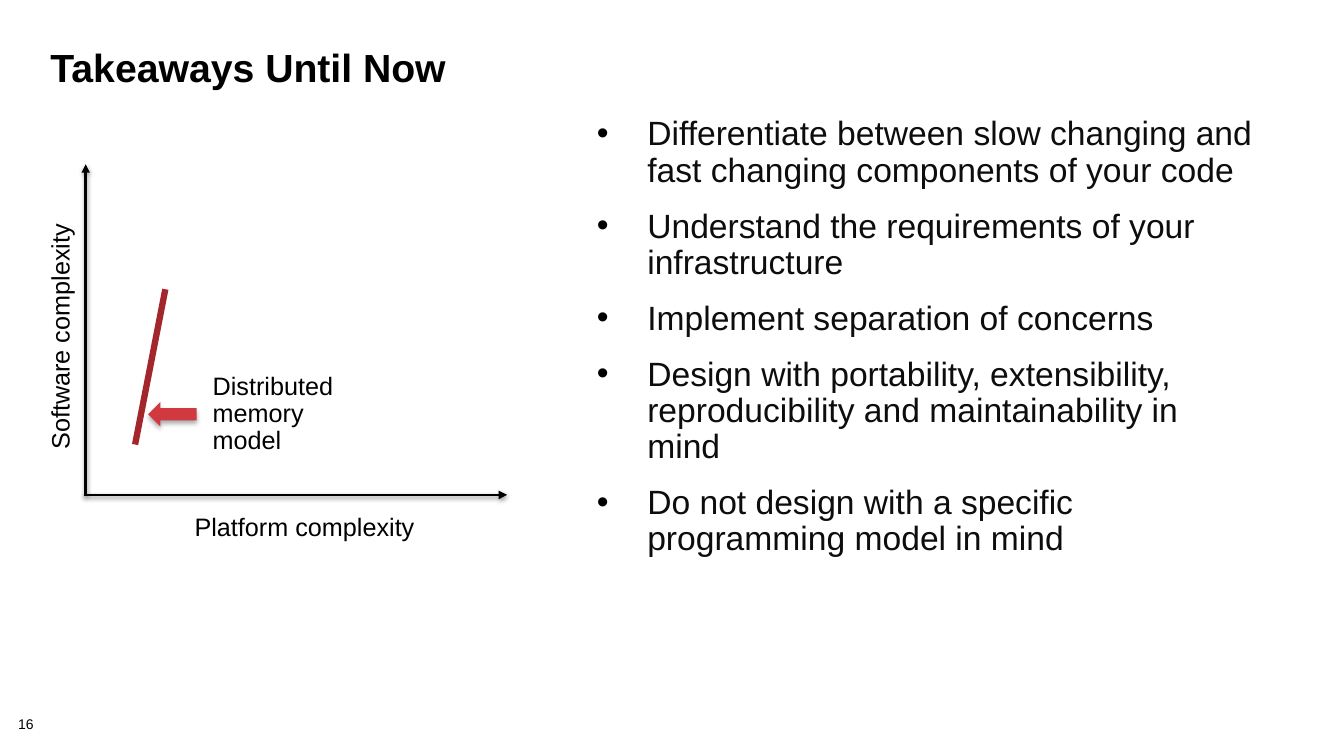
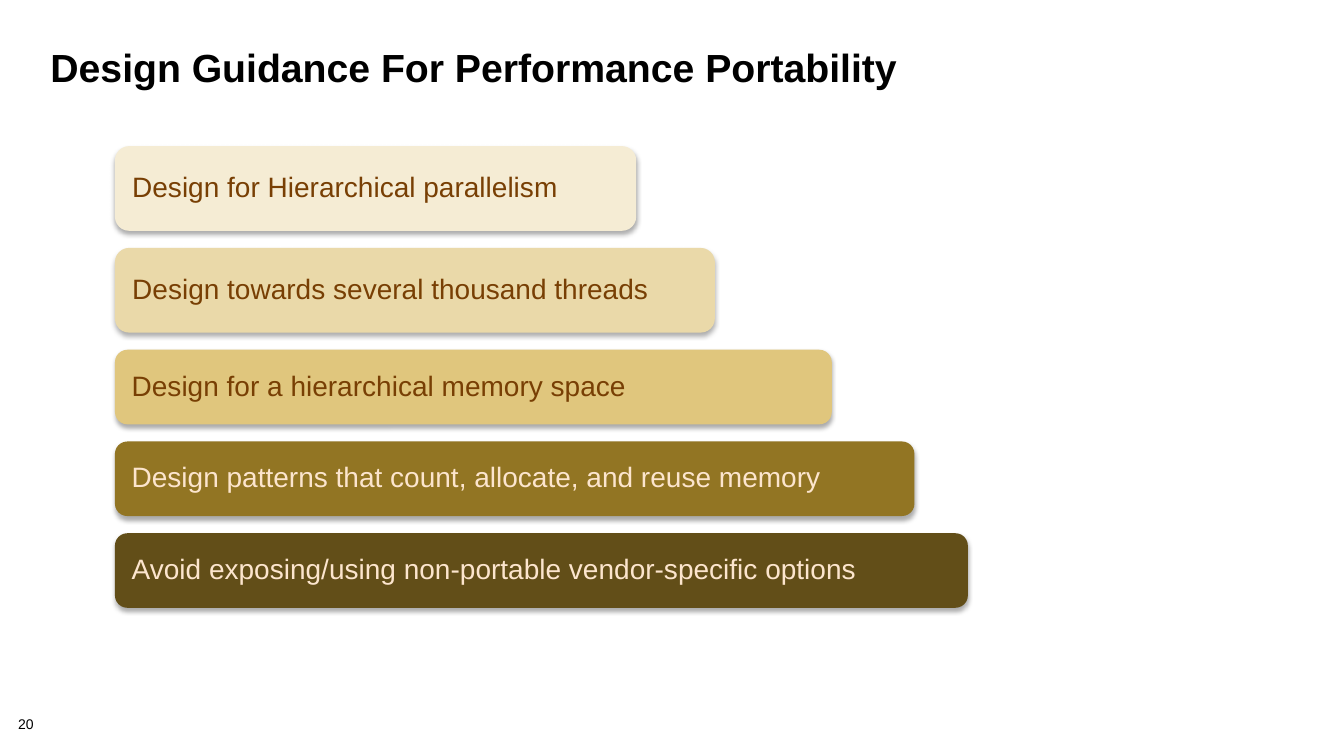
from lxml.etree import SubElement
from pptx import Presentation
from pptx.dml.color import RGBColor
from pptx.enum.shapes import MSO_CONNECTOR as Connector, MSO_SHAPE as Shape
from pptx.enum.text import MSO_ANCHOR as Anchor, MSO_AUTO_SIZE as AutoSize, PP_ALIGN as Align
from pptx.oxml.ns import qn
from pptx.util import Inches, Pt

FONT = "Arial"
COLORS = {
    "black": "000000",
    "body": "0D0D0D",
    "curve": "A2262B",
    "pointer": "D13940",
    "brown": "783F04",
    "cream": "FCE5CD",
    "sand_1": "F5ECD4",
    "sand_2": "EAD9A9",
    "sand_3": "E0C67D",
    "olive": "927523",
    "dark_olive": "624E18",
}
AXIS_SHADOW = {"alpha": 38, "blur": 3.1, "distance": 1.6}
SHAPE_SHADOW = {"alpha": 32, "blur": 3.5, "distance": 2.2}

TAKEAWAYS = [
    "Differentiate between slow changing and fast changing components of your code",
    "Understand the requirements of your infrastructure",
    "Implement separation of concerns",
    "Design with portability, extensibility, reproducibility and maintainability in mind",
    "Do not design with a specific programming model in mind",
]
GUIDELINES = [
    ("Design for Hierarchical parallelism", 5.17, 0.84, "sand_1", "brown"),
    ("Design towards several thousand threads", 5.95, 0.84, "sand_2", "brown"),
    ("Design for a hierarchical memory space", 7.11, 0.74, "sand_3", "brown"),
    ("Design patterns that count, allocate, and reuse memory", 7.93, 0.74, "olive", "cream"),
    ("Avoid exposing/using non-portable vendor-specific options", 8.46, 0.74, "dark_olive", "cream"),
]


def color(name):
    return RGBColor.from_string(COLORS[name])


def place(shape, left, top, width, height):
    shape.left, shape.top = Inches(left), Inches(top)
    shape.width, shape.height = Inches(width), Inches(height)


def add_bullet(paragraph, indent):
    properties = paragraph._p.get_or_add_pPr()
    properties.set("marL", str(Inches(indent)))
    properties.set("indent", str(-Inches(indent)))
    bullet_color = SubElement(properties, qn("a:buClr"))
    SubElement(bullet_color, qn("a:srgbClr"), val=COLORS["black"])
    SubElement(properties, qn("a:buFont"), typeface=FONT)
    SubElement(properties, qn("a:buChar"), char="•")


def write(shape, lines, size=18, ink="black", bold=False, spacing=0.9, gap=0,
          anchor=Anchor.MIDDLE, insets=(0.13, 0.1), wrap=True, bullet_indent=None,
          auto_size=AutoSize.NONE):
    frame = shape.text_frame
    frame.word_wrap = wrap
    frame.auto_size = auto_size
    frame.vertical_anchor = anchor
    frame.margin_left = frame.margin_right = Inches(insets[0])
    frame.margin_top = frame.margin_bottom = Inches(insets[1])
    for index, line in enumerate(lines):
        paragraph = frame.add_paragraph() if index else frame.paragraphs[0]
        if bullet_indent:
            add_bullet(paragraph, bullet_indent)
        paragraph.alignment = Align.LEFT
        paragraph.line_spacing = spacing
        paragraph.space_before = Pt(gap if index else 0)
        run = paragraph.add_run()
        run.text = line
        run.font.name = FONT
        run.font.size = Pt(size)
        run.font.bold = bold
        run.font.color.rgb = color(ink)


def add_shadow(shape, alpha, blur, distance):
    effects = shape._element.spPr.find(qn("a:effectLst"))
    shadow = SubElement(effects, qn("a:outerShdw"), blurRad=str(Pt(blur)),
                        dist=str(Pt(distance)), dir="5400000", rotWithShape="0")
    shade = SubElement(shadow, qn("a:srgbClr"), val=COLORS["black"])
    SubElement(shade, qn("a:alpha"), val=str(alpha * 1000))


def add_block(shapes, kind, box, fill):
    block = shapes.add_shape(kind, *map(Inches, box))
    block.fill.solid()
    block.fill.fore_color.rgb = color(fill)
    block.line.fill.background()
    block.shadow.inherit = False
    add_shadow(block, **SHAPE_SHADOW)
    return block


def add_line(shapes, start, end, ink, width):
    line = shapes.add_connector(Connector.STRAIGHT, *map(Inches, start + end))
    line.line.color.rgb = color(ink)
    line.line.width = Pt(width)
    SubElement(line._element.spPr, qn("a:effectLst"))
    return line


def add_axis(shapes, start, end):
    axis = add_line(shapes, start, end, "black", 2)
    SubElement(axis._element.spPr.find(qn("a:ln")), qn("a:tailEnd"), type="triangle")
    add_shadow(axis, **AXIS_SHADOW)


def add_label(shapes, lines, box, rotation=0, **text_format):
    label = shapes.add_textbox(*map(Inches, box))
    write(label, lines, **text_format)
    label.rotation = rotation


def add_slide(deck, layout, title, number):
    slide = deck.slides.add_slide(deck.slide_layouts.get_by_name(layout))
    place(slide.shapes.title, 0.4, 0.45, 12.44, 1)
    write(slide.shapes.title, [title], size=28, bold=True, spacing=0.85,
          anchor=Anchor.TOP, insets=(0.1, 0.05))
    add_label(slide.shapes, [str(number)], (0.18, 7.12, 0.56, 0.16), size=10,
              anchor=Anchor.TOP, insets=(0, 0))
    return slide


def add_complexity_diagram(slide):
    shapes = slide.shapes.add_group_shape().shapes
    add_axis(shapes, (0.83, 4.91), (5.03, 4.91))
    add_axis(shapes, (0.85, 4.91), (0.85, 1.63))
    grow = AutoSize.SHAPE_TO_FIT_TEXT
    add_label(shapes, ["Platform complexity"], (1.8, 5.01, 2.46, 0.47),
              wrap=False, auto_size=grow)
    add_label(shapes, ["Software complexity"], (-0.65, 3.09, 2.52, 0.48),
              rotation=270, auto_size=grow)
    add_line(shapes, (1.34, 4.41), (1.64, 2.87), "curve", 4.5)
    add_label(shapes, ["Distributed", "memory", "model"], (1.98, 3.6, 1.54, 1.02),
              wrap=False, auto_size=grow)
    add_block(shapes, Shape.LEFT_ARROW, (1.47, 3.99, 0.48, 0.24), "pointer")


def build_takeaways(deck):
    slide = add_slide(deck, "Title and Content", "Takeaways Until Now", 16)
    takeaways = slide.placeholders[1]
    place(takeaways, 5.82, 1.11, 6.7, 4.86)
    write(takeaways, TAKEAWAYS, size=24, ink="body", gap=14, anchor=Anchor.TOP,
          insets=(0.1, 0.05), bullet_indent=0.5)
    add_complexity_diagram(slide)


def build_guidance(deck):
    slide = add_slide(deck, "Title Only", "Design Guidance For Performance Portability", 20)
    top, gap = 1.45, 0.17
    for guideline, width, height, fill, ink in GUIDELINES:
        bar = add_block(slide.shapes, Shape.ROUNDED_RECTANGLE, (1.14, top, width, height), fill)
        write(bar, [guideline], size=20, ink=ink, insets=(0.13, 0.07))
        top += height + gap


def main():
    deck = Presentation()
    deck.slide_width, deck.slide_height = Inches(13.33), Inches(7.5)
    build_takeaways(deck)
    build_guidance(deck)
    deck.save("out.pptx")


if __name__ == "__main__":
    main()
